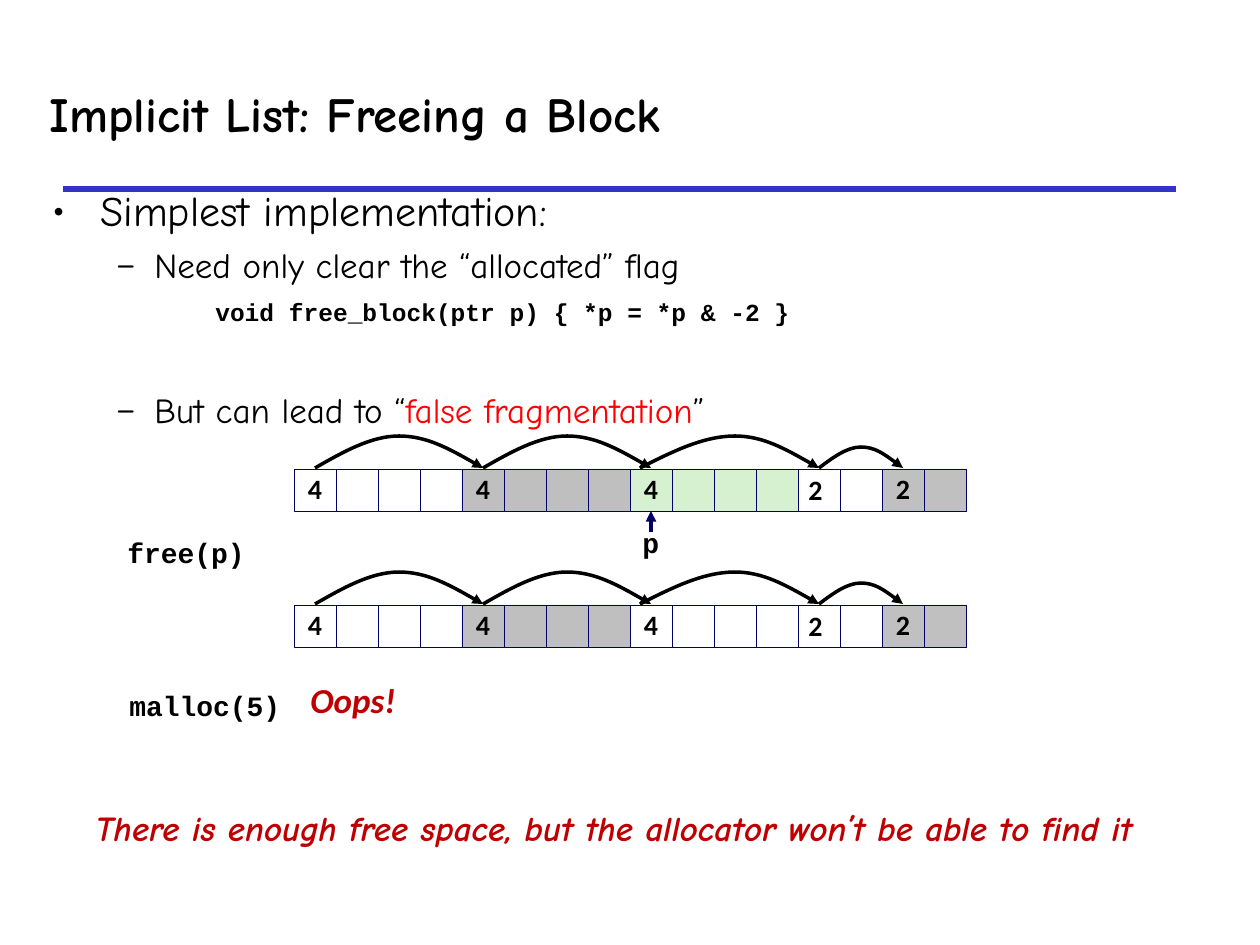
"""Build a slide on freeing a block in an implicit free list."""
from dataclasses import dataclass
from typing import NamedTuple, Optional

from lxml.etree import SubElement
from pptx import Presentation
from pptx.dml.color import RGBColor
from pptx.enum.shapes import MSO_CONNECTOR, MSO_SHAPE
from pptx.enum.text import MSO_ANCHOR, PP_ALIGN
from pptx.oxml.ns import qn
from pptx.util import Emu, Pt


@dataclass(frozen=True)
class Theme:
    black: str = "000000"
    white: str = "FFFFFF"
    rule: str = "3333CC"
    navy: str = "000066"
    allocated: str = "BFBFBF"
    last_allocated: str = "C0C0C0"
    freeing: str = "D5F1CF"
    highlight: str = "FF0000"
    warning: str = "C00000"
    heading_font: str = "Comic Neue"
    label_font: str = "Calibri"
    code_font: str = "Courier New"
    title_size: int = 28
    topic_size: int = 24
    point_size: int = 20
    label_size: int = 16
    code_size: int = 14


THEME = Theme()
PIXELS_PER_INCH = 126
CELL = 42
ROW_LEFT = 294


class Style(NamedTuple):
    font: str
    size: int
    color: str = THEME.black
    bold: bool = False
    italic: bool = False


class Piece(NamedTuple):
    text: str
    style: Style


class BodyLine(NamedTuple):
    pieces: list[Piece]
    margin: int
    hanging: int = 0
    space_before: float = 0
    bullet: Optional[str] = None


class Label(NamedTuple):
    text: str
    left: int
    top: int
    width: int
    height: int
    style: Style
    spacing: float = 1.0
    anchor: MSO_ANCHOR = MSO_ANCHOR.TOP


class Block(NamedTuple):
    size: int
    fill: str
    loose_label: bool = False


class Arc(NamedTuple):
    start: int
    peak: int
    end: int
    height: int


TITLE = Style(THEME.heading_font, THEME.title_size, bold=True)
TOPIC = Style(THEME.heading_font, THEME.topic_size)
POINT = Style(THEME.heading_font, THEME.point_size)
CODE = Style(THEME.code_font, THEME.code_size, bold=True)
CALL = Style(THEME.code_font, THEME.label_size, bold=True)
COUNT = Style(THEME.label_font, THEME.label_size, bold=True)
OOPS = Style(THEME.label_font, THEME.point_size, THEME.warning, True, True)
MORAL = OOPS._replace(font=THEME.heading_font)

BODY = [
    BodyLine([Piece("Simplest implementation:", TOPIC)], 48, -48, bullet="•"),
    BodyLine([Piece("Need only clear the “allocated” flag", POINT)], 102, -39, 5, "–"),
    BodyLine([Piece("void free_block(ptr p) { *p = *p & -2 }", CODE)], 163, space_before=6.5),
    BodyLine([Piece("But can lead to “", POINT),
              Piece("false fragmentation", POINT._replace(color=THEME.highlight)),
              Piece("”", POINT)], 102, -39, 35.5, "–"),
]
LABELS = [
    Label("Implicit List: Freeing a Block", 37, 73, 992, 79, TITLE, anchor=MSO_ANCHOR.MIDDLE),
    Label("free(p)", 115, 532, 148, 44, CALL, 0.94),
    Label("p", 630, 522, 44, 44, CALL, 0.94),
    Label("malloc(5)", 117, 685, 182, 44, CALL, 0.94),
    Label("Oops!", 298, 671, 114, 55, OOPS, 1.02),
    Label("There is enough free space, but the allocator won’t be able to find it",
          83, 800, 1070, 97, MORAL),
]
ARCS = [Arc(315, 399, 483, 32), Arc(483, 567, 651, 32),
        Arc(640, 735, 819, 32), Arc(819, 861, 903, 21)]


def px(value: float) -> Emu:
    """Turn pixels into EMU."""
    return Emu(round(value * 914400 / PIXELS_PER_INCH))


def format_run(run, style: Style) -> None:
    """Apply a text style to a run."""
    run.font.name = style.font
    run.font.size = Pt(style.size)
    run.font.color.rgb = RGBColor.from_string(style.color)
    run.font.bold = style.bold
    run.font.italic = style.italic


def write(shape, text: str, style: Style, spacing: float) -> None:
    """Write one unwrapped line into a shape."""
    frame = shape.text_frame
    frame.text = text
    frame.word_wrap = False
    paragraph = frame.paragraphs[0]
    paragraph.line_spacing = spacing
    format_run(paragraph.runs[0], style)


def add_label(slide, label: Label) -> None:
    """Add a one-line text box."""
    box = slide.shapes.add_textbox(px(label.left), px(label.top), px(label.width), px(label.height))
    write(box, label.text, label.style, label.spacing)
    box.text_frame.vertical_anchor = label.anchor


def add_body(slide, lines: list[BodyLine]) -> None:
    """Add the bulleted outline."""
    frame = slide.shapes.add_textbox(px(40), px(178), px(1145), px(599)).text_frame
    frame.word_wrap = True
    for index, line in enumerate(lines):
        paragraph = frame.add_paragraph() if index else frame.paragraphs[0]
        paragraph.space_before = Pt(line.space_before)
        properties = paragraph._p.get_or_add_pPr()
        properties.set("marL", str(px(line.margin)))
        properties.set("indent", str(px(line.hanging)))
        if line.bullet:
            color = SubElement(properties, qn("a:buClr"))
            SubElement(color, qn("a:srgbClr"), val=THEME.black)
            SubElement(properties, qn("a:buFont"), typeface=THEME.heading_font)
            SubElement(properties, qn("a:buChar"), char=line.bullet)
        for piece in line.pieces:
            run = paragraph.add_run()
            run.text = piece.text
            format_run(run, piece.style)


def set_line(shape, color: str, width: float, arrow: bool = False) -> None:
    """Set a shape's line and optional arrowhead."""
    shape.line.color.rgb = RGBColor.from_string(color)
    shape.line.width = Pt(width)
    if arrow:
        SubElement(shape.element.spPr.find(qn("a:ln")), qn("a:tailEnd"), type="triangle")


def add_line(slide, start: tuple[int, int], end: tuple[int, int], color: str,
             width: float, arrow: bool = False):
    """Add a straight connector without a shadow."""
    line = slide.shapes.add_connector(MSO_CONNECTOR.STRAIGHT, *map(px, start + end))
    set_line(line, color, width, arrow)
    SubElement(line.element.spPr, qn("a:effectLst"))
    return line


def add_arc(slide, arc: Arc, bottom: int) -> None:
    """Add a curved arrow made of two cubic segments."""
    rises = [0.5, 1, 1, 1, 0.5, 0]
    halves = [(arc.start, arc.peak), (arc.peak, arc.end)]
    across = [left + (right - left) * step / 3 for left, right in halves for step in (1, 2, 3)]
    points = [(px(x), px(bottom - arc.height * rise)) for x, rise in zip(across, rises)]
    builder = slide.shapes.build_freeform(px(arc.start), px(bottom))
    builder.add_line_segments(points, close=False)
    shape = builder.convert_to_shape()
    outline = next(shape.element.iter(qn("a:path")))
    segments = outline.findall(qn("a:lnTo"))
    for first in range(0, len(segments), 3):
        curve = SubElement(outline, qn("a:cubicBezTo"))
        for segment in segments[first:first + 3]:
            curve.append(segment[0])
            outline.remove(segment)
    shape.fill.background()
    shape.shadow.inherit = False
    set_line(shape, THEME.black, 2, True)


def add_heap(slide, top: int, blocks: list[Block]) -> list:
    """Add a row of memory cells with its links and return the cells."""
    cells = []
    for block in blocks:
        for offset in range(block.size):
            left = ROW_LEFT + CELL * len(cells)
            cell = slide.shapes.add_shape(MSO_SHAPE.RECTANGLE, px(left), px(top), px(CELL), px(CELL))
            cell.fill.solid()
            cell.fill.fore_color.rgb = RGBColor.from_string(block.fill)
            cell.shadow.inherit = False
            set_line(cell, THEME.navy, 0.25)
            if offset == 0 and not block.loose_label:
                write(cell, str(block.size), COUNT, 0.98)
                cell.text_frame.paragraphs[0].alignment = PP_ALIGN.CENTER
                cell.text_frame.vertical_anchor = MSO_ANCHOR.MIDDLE
            cells.append(cell)
        if block.loose_label:
            left = ROW_LEFT + CELL * (len(cells) - block.size) - 2
            add_label(slide, Label(str(block.size), left, top - 1, 40, 45, COUNT, 0.98))
    for arc in ARCS:
        add_arc(slide, arc, top - 1)
    return cells


def main() -> None:
    """Build and save the slide."""
    presentation = Presentation()
    presentation.slide_width, presentation.slide_height = px(1260), px(945)
    slide = presentation.slides.add_slide(presentation.slide_layouts[6])
    add_line(slide, (63, 189), (1176, 189), THEME.rule, 3)
    add_body(slide, BODY)
    for top, third_fill in ((469, THEME.freeing), (605, THEME.white)):
        blocks = [Block(4, THEME.white), Block(4, THEME.allocated), Block(4, third_fill),
                  Block(2, THEME.white, True), Block(2, THEME.last_allocated)]
        cells = add_heap(slide, top, blocks)
        if third_fill == THEME.freeing:
            pointer = add_line(slide, (651, 532), (651, top + CELL), THEME.navy, 2, True)
            pointer.end_connect(cells[8], 2)
    for label in LABELS:
        add_label(slide, label)
    presentation.save("out.pptx")


if __name__ == "__main__":
    main()
